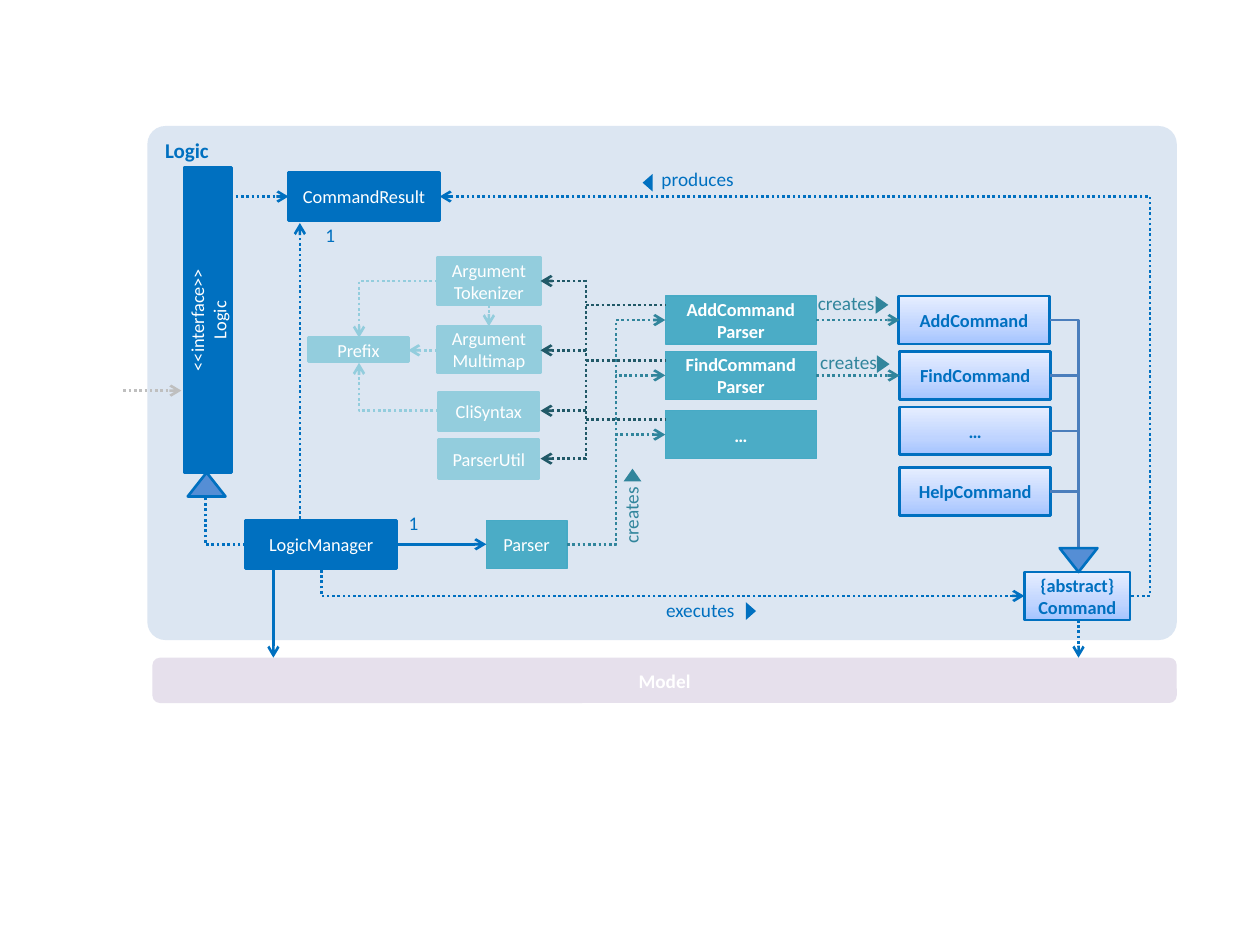
from copy import deepcopy
from dataclasses import dataclass
from typing import Optional

from lxml import etree
from pptx import Presentation, util as u
from pptx.dml import color
from pptx.enum import dml, shapes, text
from pptx.oxml import ns


@dataclass(frozen=True)
class Theme:
    font: str = "Calibri"
    blue: str = "0070C0"
    teal: str = "4BACC6"
    teal_edge: str = "46AAC5"
    teal_dark: str = "31859C"
    teal_deep: str = "215968"
    aqua: str = "93CDDD"
    white: str = "FFFFFF"
    grey: str = "BFBFBF"
    panel: str = "DCE6F2"
    lilac: str = "E6E0EC"
    arrowhead: str = "558ED5"
    inherit: str = "4B7EBC"
    gradient: tuple = ((0, "A4C4FF"), (0.35, "BFD4FF"), (1, "E6EEFF"))
    heading: float = 12
    label: float = 11
    body: float = 10.5
    line: float = 1.5


THEME = Theme()


@dataclass(frozen=True)
class Style:
    fill: Optional[str]  # None means the gradient
    edge: Optional[str] = None
    ink: str = THEME.white
    bold: bool = False
    size: float = THEME.body
    width: float = THEME.line


CORE = Style(THEME.blue, THEME.blue)
PARSER = Style(THEME.teal, THEME.teal_edge, width=0.75)
COMMAND_PARSER = Style(THEME.teal, THEME.teal_edge, bold=True, width=0.75)
HELPER = Style(THEME.aqua, THEME.aqua)
COMMAND = Style(None, THEME.blue, THEME.blue, True)
MARK = Style(THEME.arrowhead, THEME.blue)


@dataclass(frozen=True)
class Box:
    caption: str
    left: float
    top: float
    width: float
    height: float
    style: Style
    rotation: float = 0
    kind: shapes.MSO_SHAPE = shapes.MSO_SHAPE.RECTANGLE


@dataclass(frozen=True)
class Link:
    start: tuple
    end: tuple
    ink: str = THEME.blue
    dotted: bool = True
    head: bool = False
    tail: bool = True
    bend: Optional[str] = None  # preset with one or two corners
    adjust: Optional[int] = None


@dataclass(frozen=True)
class Label:
    caption: str
    left: float
    top: float
    width: float
    height: float = 0.25
    ink: str = THEME.blue
    align: text.PP_ALIGN = text.PP_ALIGN.LEFT
    rotation: float = 0


def rgb(value: str) -> color.RGBColor:
    return color.RGBColor.from_string(value)


def write(frame, caption: str, ink: str, size: float, bold: bool, align) -> None:
    frame.text = caption
    font_values = {"name": THEME.font, "size": u.Pt(size), "bold": bold}
    for paragraph in frame.paragraphs:
        paragraph.alignment = align
        for run in paragraph.runs:
            for name, value in font_values.items():
                setattr(run.font, name, value)
            run.font.color.rgb = rgb(ink)


def fill_gradient(shape) -> None:
    shape.fill.gradient()
    shape.fill.gradient_angle = 90
    stop_list = shape._element.spPr.find(".//" + ns.qn("a:gsLst"))
    stop_list.append(deepcopy(stop_list[-1]))
    for stop, (position, value) in zip(shape.fill.gradient_stops, THEME.gradient):
        stop.position = position
        stop.color.rgb = rgb(value)


def draw_box(slide, box: Box):
    style = box.style
    shape = slide.shapes.add_shape(box.kind, *map(u.Inches, (box.left, box.top, box.width, box.height)))
    shape.shadow.inherit = False
    shape.rotation = box.rotation
    if style.fill:
        shape.fill.solid()
        shape.fill.fore_color.rgb = rgb(style.fill)
    else:
        fill_gradient(shape)
    if style.edge:
        shape.line.color.rgb = rgb(style.edge)
        shape.line.width = u.Pt(style.width)
    else:
        shape.line.fill.background()
    if box.caption:
        write(shape.text_frame, box.caption, style.ink, style.size, style.bold, text.PP_ALIGN.CENTER)
    return shape


def draw_link(slide, link: Link) -> None:
    kind = shapes.MSO_CONNECTOR.ELBOW if link.bend else shapes.MSO_CONNECTOR.STRAIGHT
    connector = slide.shapes.add_connector(kind, *map(u.Inches, link.start + link.end))
    connector.line.color.rgb = rgb(link.ink)
    connector.line.width = u.Pt(THEME.line)
    if link.dotted:
        connector.line.dash_style = dml.MSO_LINE.ROUND_DOT
    properties = connector._element.spPr
    if link.bend:
        geometry = properties.find(ns.qn("a:prstGeom"))
        geometry.set("prst", link.bend)
        if link.adjust is not None:
            guides = geometry.find(ns.qn("a:avLst"))
            etree.SubElement(guides, ns.qn("a:gd"), name="adj1", fmla=f"val {link.adjust}")
    outline = properties.find(ns.qn("a:ln"))
    for shown, tag in ((link.head, "a:headEnd"), (link.tail, "a:tailEnd")):
        if shown:
            etree.SubElement(outline, ns.qn(tag), type="arrow")
    etree.SubElement(properties, ns.qn("a:effectLst"))


def draw_label(slide, label: Label) -> None:
    shape = slide.shapes.add_textbox(*map(u.Inches, (label.left, label.top, label.width, label.height)))
    shape.rotation = label.rotation
    frame_values = {"word_wrap": True, "margin_left": 0, "margin_right": 0, "margin_top": 0, "margin_bottom": 0}
    for name, value in frame_values.items():
        setattr(shape.text_frame, name, value)
    write(shape.text_frame, label.caption, label.ink, THEME.label, False, label.align)


def triangle(left: float, top: float, width: float, height: float, style: Style, rotation: float = 0) -> Box:
    return Box("", left, top, width, height, style, rotation, shapes.MSO_SHAPE.ISOSCELES_TRIANGLE)


presentation = Presentation()
presentation.slide_width, presentation.slide_height = u.Inches(10), u.Inches(7.5)
slide = presentation.slides.add_slide(presentation.slide_layouts[6])

# Component panels
ROUNDED = shapes.MSO_SHAPE.ROUNDED_RECTANGLE
panel = draw_box(slide, Box("Logic", 1.17, 1, 8.17, 4.08,
                            Style(THEME.panel, ink=THEME.blue, bold=True, size=THEME.heading), kind=ROUNDED))
panel.adjustments[0] = 0.035
panel.text_frame.vertical_anchor = text.MSO_ANCHOR.TOP
panel.text_frame.paragraphs[0].alignment = text.PP_ALIGN.LEFT
draw_box(slide, Box("Model", 1.21, 5.22, 8.13, 0.36,
                    Style(THEME.lilac, bold=True, size=THEME.label), kind=ROUNDED))

# Classes
WIDE, TALL = 1.2, 0.38
boxes = [
    Box("<<interface>>\nLogic", 0.44, 2.35, 2.42, TALL, CORE, 270),
    Box("CommandResult", 2.29, 1.37, WIDE, TALL, CORE),
    Box("LogicManager", 1.95, 4.13, WIDE, TALL, CORE),
    Box("Parser", 3.86, 4.13, 0.64, TALL, PARSER),
    Box("{abstract}\vCommand", 8.13, 4.54, 0.84, TALL, COMMAND),
    Box("Argument\vTokenizer", 3.47, 2.04, 0.82, TALL, HELPER),
    Box("Argument\vMultimap", 3.47, 2.59, 0.82, 0.37, HELPER),
    Box("Prefix", 2.45, 2.68, 0.79, 0.19, HELPER),
    Box("CliSyntax", 3.48, 3.11, 0.8, 0.31, HELPER),
    Box("ParserUtil", 3.48, 3.49, 0.8, 0.31, HELPER),
]
command_parsers = {"AddCommand\nParser": 2.35, "FindCommand\nParser": 2.79, "…": 3.26}
commands = {"AddCommand": 2.35, "FindCommand": 2.79, "…": 3.23, "HelpCommand": 3.71}
boxes += [Box(name, 5.28, top, WIDE, TALL, COMMAND_PARSER) for name, top in command_parsers.items()]
boxes += [Box(name, 7.13 if name == "AddCommand" else 7.14, top, WIDE, TALL, COMMAND)
          for name, top in commands.items()]

# Relations; one-corner links leave their start horizontally
CORNER, STEP = "bentConnector2", "bentConnector3"
links = [
    Link((8.98, 4.73), (3.49, 1.56), bend=STEP, adjust=-2700),
    Link((1.83, 1.56), (2.29, 1.56)),
    Link((3.14, 4.32), (3.86, 4.32), dotted=False),
    Link((8.56, 4.92), (8.56, 5.22)),
    Link((1.95, 4.32), (1.63, 3.94), tail=False, bend=CORNER),
    Link((2.17, 4.51), (2.17, 5.22), dotted=False),
    Link((0.98, 3.1), (1.44, 3.1), THEME.grey),
    Link((8.13, 4.73), (2.55, 4.51), head=True, tail=False, bend=CORNER),
    Link((2.38, 4.12), (2.38, 1.77)),
    Link((3.48, 3.26), (2.85, 2.88), THEME.aqua, bend=CORNER),
    Link((3.47, 2.23), (2.85, 2.68), THEME.aqua, bend=CORNER),
    Link((3.47, 2.78), (3.24, 2.78), THEME.aqua),
    Link((3.88, 2.42), (3.88, 2.59), THEME.aqua),
    Link((4.65, 2.22), (4.65, 3.65), THEME.teal_deep, tail=False),
]
links += [Link((4.65, y), (4.29, y), THEME.teal_deep) for y in (2.23, 2.78, 3.26, 3.64)]
links += [Link((4.65, y), (5.28, y), THEME.teal_deep, tail=False) for y in (2.42, 2.86, 3.33)]
links += [Link((4.5, 4.32), (5.28, top + TALL / 2), THEME.teal_dark, bend=STEP)
          for top in command_parsers.values()]
links += [Link((6.48, y), (7.14, y), THEME.teal_dark) for y in (2.54, 2.98)]
links += [Link((8.33, top + TALL / 2), (8.56, 4.35), THEME.inherit, dotted=False, tail=False, bend=CORNER)
          for top in commands.values()]

# Inheritance and reading-direction marks
BLUE_MARK, TEAL_MARK = Style(THEME.blue), Style(THEME.teal_dark)
marks = [
    triangle(1.49, 3.75, 0.3, 0.19, MARK),
    triangle(8.41, 4.35, 0.3, 0.19, MARK, 180),
    triangle(5.89, 4.81, 0.14, 0.08, BLUE_MARK, 90),
    triangle(5.07, 1.41, 0.14, 0.08, BLUE_MARK, 270),
    triangle(6.93, 2.37, 0.14, 0.1, TEAL_MARK, 90),
    triangle(6.94, 2.84, 0.14, 0.1, TEAL_MARK, 90),
    triangle(4.95, 3.72, 0.14, 0.1, TEAL_MARK),
]

# Relation names and multiplicities
RIGHT = text.PP_ALIGN.RIGHT
labels = [
    Label("executes", 5.03, 4.75, 0.8, align=RIGHT),
    Label("produces", 5.25, 1.33, 0.8),
    Label("1", 2.52, 1.77, 0.14, align=RIGHT),
    Label("1", 3.18, 4.06, 0.14, align=RIGHT),
]
labels += [Label("creates", left, top, 0.61, 0.28, THEME.teal_dark, rotation=rotation)
           for left, top, rotation in ((6.49, 2.31, 0), (6.51, 2.78, 0), (4.75, 3.87, 270))]

for draw, items in ((draw_box, boxes), (draw_link, links), (draw_box, marks), (draw_label, labels)):
    for item in items:
        draw(slide, item)

presentation.save("out.pptx")
